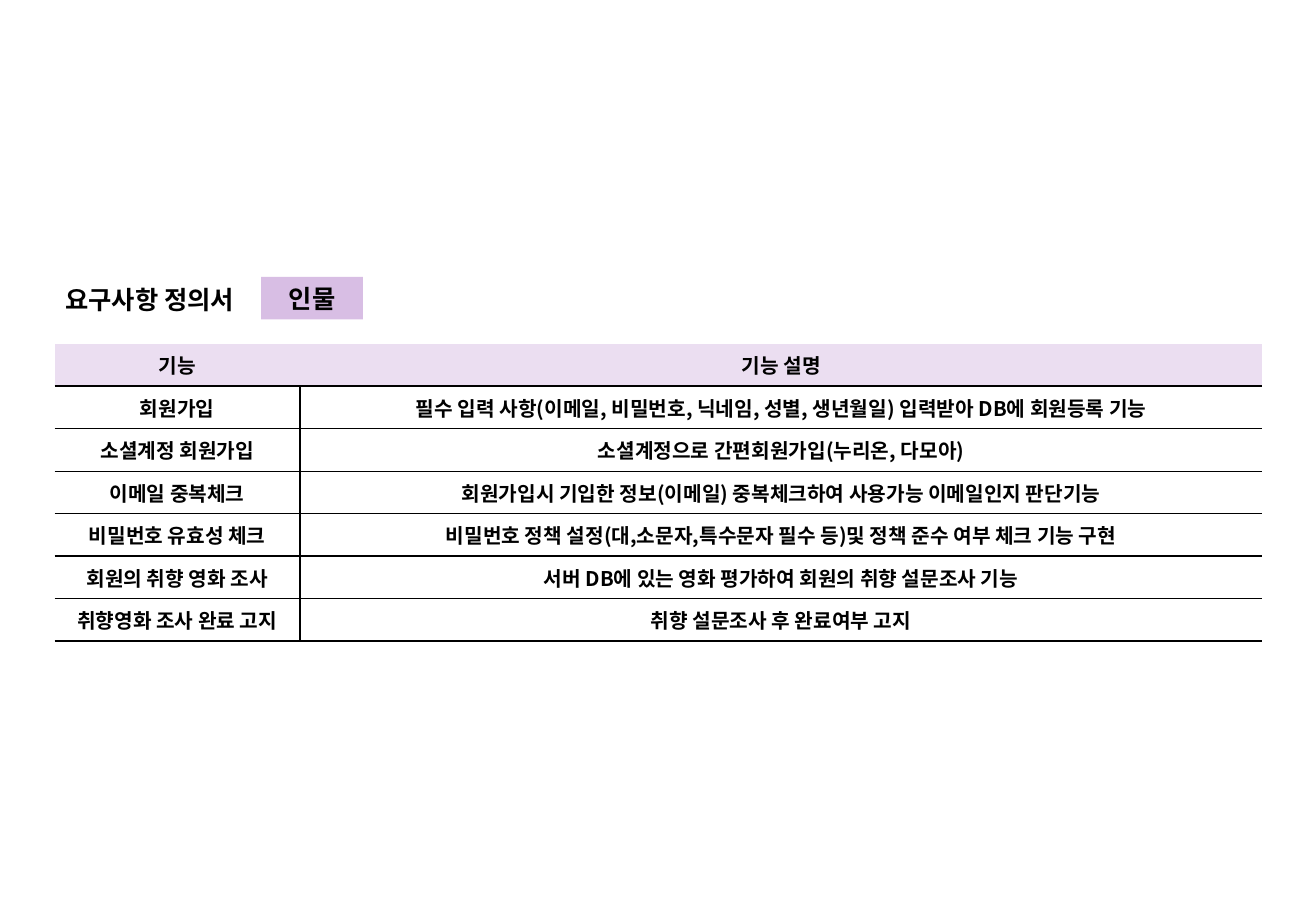
from lxml import etree
from pptx import Presentation
from pptx import util as u
from pptx.dml.color import RGBColor
from pptx.enum import shapes, text
from pptx.oxml import ns

BLACK = RGBColor(0, 0, 0)
BADGE = RGBColor(0xD8, 0xBE, 0xE4)
HEAD = RGBColor(0xEB, 0xDE, 0xF1)
FONT = "Noto Sans CJK KR"
PLAIN = "{2D5ABB26-0587-4C30-8999-92F81FD0307C}"  # table style without grid

ROWS = [
    ("기능", "기능 설명"),
    ("회원가입", "필수 입력 사항(이메일, 비밀번호, 닉네임, 성별, 생년월일) 입력받아 DB에 회원등록 기능"),
    ("소셜계정 회원가입", "소셜계정으로 간편회원가입(누리온, 다모아)"),
    ("이메일 중복체크", "회원가입시 기입한 정보(이메일) 중복체크하여 사용가능 이메일인지 판단기능"),
    ("비밀번호 유효성 체크", "비밀번호 정책 설정(대,소문자,특수문자 필수 등)및 정책 준수 여부 체크 기능 구현"),
    ("회원의 취향 영화 조사", "서버 DB에 있는 영화 평가하여 회원의 취향 설문조사 기능"),
    ("취향영화 조사 완료 고지", "취향 설문조사 후 완료여부 고지"),
]


def write(frame, words, size, align):
    para = frame.paragraphs[0]
    para.alignment = align
    run = para.add_run()
    run.text = words
    for key, val in {"name": FONT, "size": u.Pt(size), "bold": True}.items():
        setattr(run.font, key, val)
    run.font.color.rgb = BLACK
    # Korean letters take the East Asian font
    latin = run.font._element.find(ns.qn("a:latin"))
    latin.addnext(etree.Element(ns.qn("a:ea"), typeface=FONT))


def label(shape, words, align):
    frame = shape.text_frame
    form = {"word_wrap": True, "margin_top": 0, "margin_bottom": 0,
            "vertical_anchor": text.MSO_ANCHOR.MIDDLE}
    for key, val in form.items():
        setattr(frame, key, val)
    write(frame, words, 15, align)


def heading(slide, left, top):
    # Title
    title = slide.shapes.add_textbox(left, top + u.Cm(0.05), u.Cm(4.8), u.Cm(0.86))
    label(title, "요구사항 정의서", text.PP_ALIGN.LEFT)
    # Badge
    badge = slide.shapes.add_shape(shapes.MSO_SHAPE.RECTANGLE,
                                   left + u.Cm(4.34), top, u.Cm(2.13), u.Cm(0.89))
    badge.shadow.inherit = False
    badge.fill.solid()
    badge.fill.fore_color.rgb = BADGE
    badge.line.fill.background()
    label(badge, "인물", text.PP_ALIGN.CENTER)


def border(cell, sides):
    props = cell._tc.get_or_add_tcPr()
    for side in "LRTB":
        width = sides.get(side, 0)
        line = etree.SubElement(props, ns.qn("a:ln" + side), w=str(u.Pt(width)))
        if width:
            fill = etree.SubElement(line, ns.qn("a:solidFill"))
            etree.SubElement(fill, ns.qn("a:srgbClr"), val=str(BLACK))
        else:
            etree.SubElement(line, ns.qn("a:noFill"))


def grid(slide, left, top, width, height):
    frame = slide.shapes.add_table(len(ROWS), 2, left, top, width, height)
    table = frame.table
    table._tbl.tblPr.find(ns.qn("a:tableStyleId")).text = PLAIN
    table.first_row = table.horz_banding = False
    first = u.Cm(5.13)
    table.columns[0].width, table.columns[1].width = first, width - first
    for r, row in enumerate(ROWS):
        for c, words in enumerate(row):
            cell = table.cell(r, c)
            cell.vertical_anchor = text.MSO_ANCHOR.MIDDLE
            write(cell.text_frame, words, 12, text.PP_ALIGN.CENTER)
            if r == 0:
                border(cell, {"B": 1.5})
                cell.fill.solid()
                cell.fill.fore_color.rgb = HEAD
                continue
            # Body: rules between rows and one between the columns
            border(cell, {"T": 1.5 if r == 1 else 1, "B": 1, "LR"[1 - c]: 1})
            cell.fill.background()
            cell.margin_left = cell.margin_right = u.Cm(0.08)
            cell.margin_top = cell.margin_bottom = u.Cm(0.05)


def main():
    deck = Presentation()
    deck.slide_width, deck.slide_height = u.Cm(27.51), u.Cm(19.05)
    slide = deck.slides.add_slide(deck.slide_layouts[6])
    grid(slide, u.Cm(1.14), u.Cm(7.19), u.Cm(25.25), u.Cm(6.22))
    heading(slide, u.Cm(1.12), u.Cm(5.79))
    deck.save("out.pptx")


if __name__ == "__main__":
    main()
